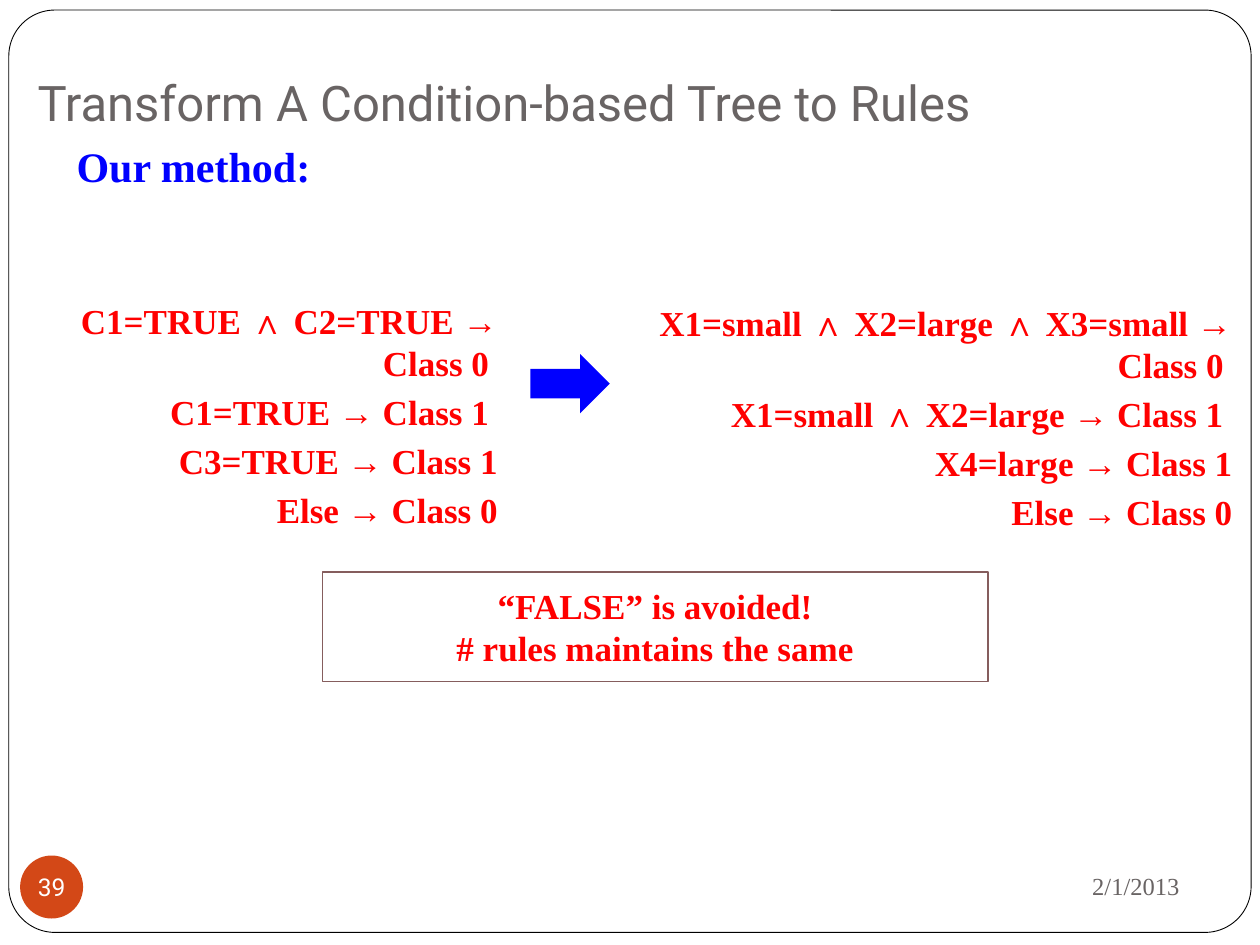
from pptx import Presentation
from pptx.dml.color import RGBColor
from pptx.enum.shapes import MSO_SHAPE as SHAPE
from pptx.enum.text import MSO_ANCHOR as ANCHOR, PP_ALIGN as ALIGN
from pptx.util import Inches, Pt

SERIF = "Times New Roman"
RED, BLUE, GRAY, WHITE = "FF0000", "0000FF", "696464", "FFFFFF"

prs = Presentation()
prs.slide_width, prs.slide_height = Inches(10), Inches(7.5)
s = prs.slides.add_slide(prs.slide_layouts[6])


def add_shape(kind, box, fill, line=None, width=1):
    sp = s.shapes.add_shape(kind, *map(Inches, box))
    sp.shadow.inherit = False
    sp.fill.solid()
    sp.fill.fore_color.rgb = RGBColor.from_string(fill)
    if line:
        sp.line.color.rgb = RGBColor.from_string(line)
        sp.line.width = Pt(width)
    else:
        sp.line.fill.background()
    return sp


def add_text(text, box=None, sp=None, size=20, font=SERIF, color=RED, bold=False,
             align=ALIGN.LEFT, anchor=ANCHOR.TOP, before=0, hanging=0, wrap=True):
    """Write one paragraph per line of text, in sp or in a new text box."""
    sp = sp or s.shapes.add_textbox(*map(Inches, box))
    tf = sp.text_frame
    tf.word_wrap = wrap
    tf.vertical_anchor = anchor
    for i, line in enumerate(text.split("\n")):
        p = tf.paragraphs[0] if i == 0 else tf.add_paragraph()
        p.alignment = align
        p.space_before = Pt(before)
        if hanging:
            pPr = p._p.get_or_add_pPr()
            pPr.set("marL", str(Inches(hanging)))
            pPr.set("indent", str(-Inches(hanging)))
        r = p.add_run()
        r.text = line
        r.font.name, r.font.size, r.font.bold = font, Pt(size), bold
        r.font.color.rgb = RGBColor.from_string(color)
    return tf


# Slide frame
frame = add_shape(SHAPE.ROUNDED_RECTANGLE, (0.07, 0.08, 9.86, 7.32), WHITE, "000000", 0.5)
frame.adjustments[0] = 0.05

# Headings
tf = add_text("Transform A Condition-based Tree to Rules", (0.2, -0.11, 8.5, 1.25),
              size=28, font="Roboto", color=GRAY, anchor=ANCHOR.BOTTOM)
tf.margin_bottom = Inches(0.1)
add_text("Our method:", (0.51, 1.07, 3.7, 0.5), size=24, color=BLUE, bold=True)

# Rules over conditions, and the same rules over attributes
condition_rules = """C1=TRUE ∧ C2=TRUE → Class 0 
C1=TRUE → Class 1 
C3=TRUE → Class 1
Else → Class 0"""
attribute_rules = """X1=small ∧ X2=large ∧ X3=small → Class 0 
X1=small ∧ X2=large → Class 1 
X4=large → Class 1
Else → Class 0"""
for rules, box in ((condition_rules, (-0.12, 2.33, 4.17, 2.86)),
                   (attribute_rules, (4.53, 2.34, 5.35, 1.65))):
    add_text(rules, box, bold=True, align=ALIGN.RIGHT, before=4, hanging=0.38)

arrow = add_shape(SHAPE.DOWN_ARROW, (4.29, 2.73, 0.47, 0.63), BLUE)
arrow.rotation = 270

# Conclusion
conclusion = add_shape(SHAPE.RECTANGLE, (2.56, 4.54, 5.28, 0.87), WHITE, "855D5D")
add_text("“FALSE” is avoided!\n# rules maintains the same", sp=conclusion,
         bold=True, align=ALIGN.CENTER, anchor=ANCHOR.MIDDLE)

# Footer
add_text("2/1/2013", (6.75, 6.77, 2.71, 0.52), size=14, color=GRAY,
         align=ALIGN.RIGHT, anchor=ANCHOR.MIDDLE)
badge = add_shape(SHAPE.OVAL, (0.16, 6.79, 0.5, 0.5), "D34817")
tf = add_text("39", sp=badge, size=14, font="Roboto", color=WHITE,
              align=ALIGN.CENTER, anchor=ANCHOR.MIDDLE, wrap=False)
tf.margin_left = tf.margin_right = tf.margin_top = tf.margin_bottom = 0

prs.save("out.pptx")
